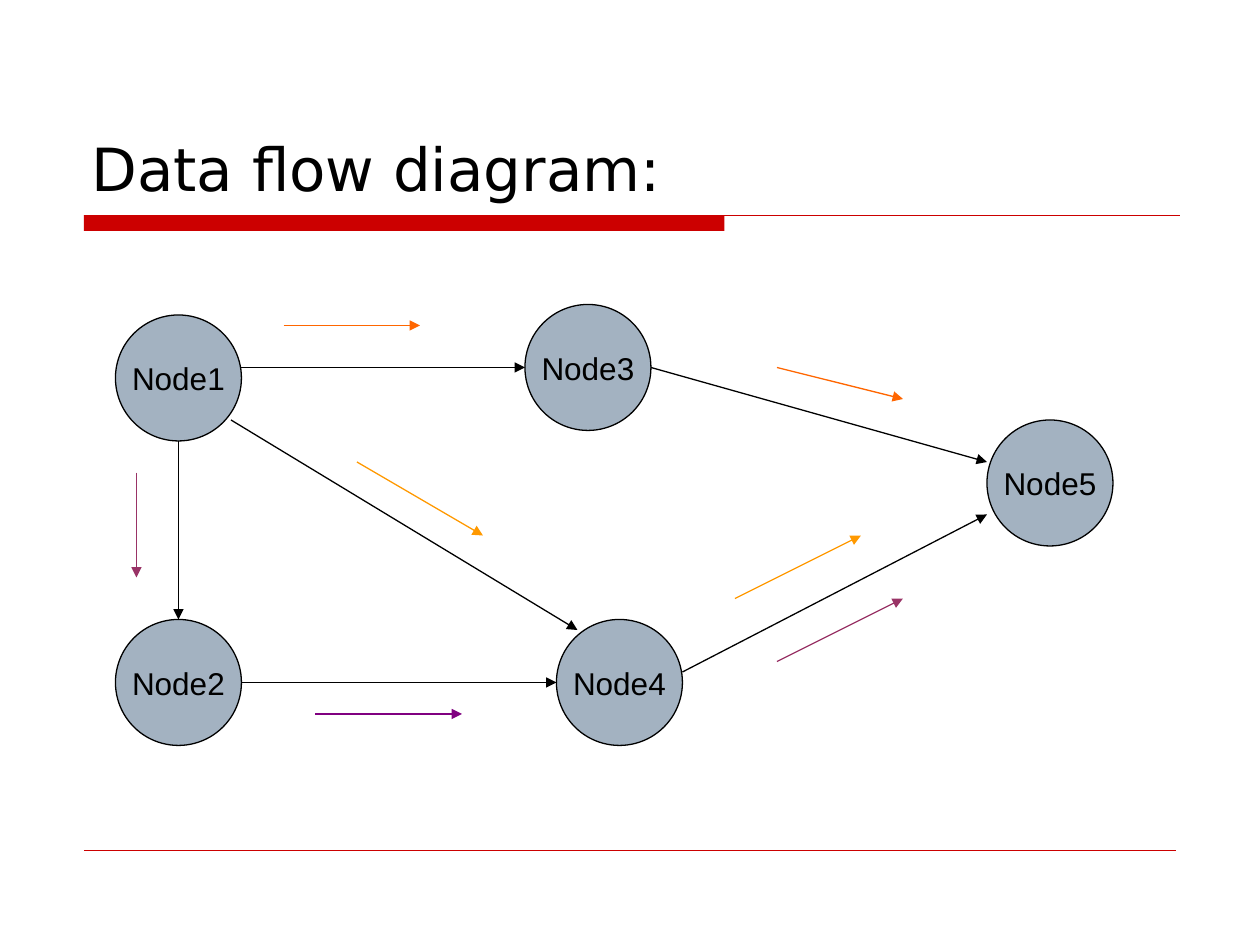
import lxml.etree
import pptx
import pptx.dml.color
import pptx.enum.shapes
import pptx.enum.text
import pptx.oxml.ns
import pptx.util

THEME = {
    "accent": "CC0000", "node": "A3B2C1", "ink": "000000",
    "orange": "FF6600", "amber": "FF9900", "plum": "993366", "purple": "800080",
    "title_font": "DejaVu Sans", "node_font": "Arial",
    "title_size": 34, "node_size": 18, "line": 0.75, "hairline": 0.25,
}
COLUMNS, ROWS = 120, 90
NODE_SIZE = 12

# Left column and top row of each node
NODES = {
    "Node1": (11, 30),
    "Node3": (50, 29),
    "Node2": (11, 59),
    "Node4": (53, 59),
    "Node5": (94, 40),
}
# Colour, then start and end as column, row
ARROWS = [
    ("ink", (23, 35), (50, 35)),
    ("ink", (62, 35), (94, 44)),
    ("ink", (17, 42), (17, 59)),
    ("ink", (23, 65), (53, 65)),
    ("ink", (65, 64), (94, 49)),
    ("ink", (22, 40), (55, 60)),
    ("orange", (27, 31), (40, 31)),
    ("orange", (74, 35), (86, 38)),
    ("amber", (34, 44), (46, 51)),
    ("plum", (74, 63), (86, 57)),
    ("purple", (30, 68), (44, 68)),
    ("plum", (13, 45), (13, 55)),
    ("amber", (70, 57), (82, 51)),
]

presentation = pptx.Presentation()
presentation.slide_width = pptx.util.Inches(10)
presentation.slide_height = pptx.util.Inches(7.5)
slide = presentation.slides.add_slide(presentation.slide_layouts[5])


def grid(*numbers):
    """Turn alternating columns and rows into lengths on the slide."""
    steps = (presentation.slide_width / COLUMNS, presentation.slide_height / ROWS)
    return [pptx.util.Emu(round(number * steps[i % 2])) for i, number in enumerate(numbers)]


def add_line(start, end, colour, width, arrow=False):
    connector = slide.shapes.add_connector(
        pptx.enum.shapes.MSO_CONNECTOR.STRAIGHT, *grid(*start, *end))
    connector.line.color.rgb = pptx.dml.color.RGBColor.from_string(THEME[colour])
    connector.line.width = pptx.util.Pt(THEME[width])
    properties = connector._element.spPr
    if arrow:
        outline = properties.find(pptx.oxml.ns.qn("a:ln"))
        lxml.etree.SubElement(outline, pptx.oxml.ns.qn("a:tailEnd"), type="triangle")
    lxml.etree.SubElement(properties, pptx.oxml.ns.qn("a:effectLst"))


# Title with its rule, and the footer line
bar = slide.shapes.add_shape(
    pptx.enum.shapes.MSO_SHAPE.RECTANGLE, *grid(8, 20.5, 61, 1.5))
bar.shadow.inherit = False
bar.fill.solid()
bar.fill.fore_color.rgb = pptx.dml.color.RGBColor.from_string(THEME["accent"])
bar.line.fill.background()
add_line((8, 20.5), (112.4, 20.5), "accent", "line")
add_line((8, 81), (112, 81), "accent", "hairline")

title = slide.shapes.title
title.left, title.top, title.width, title.height = grid(7.5, 4, 60.25, 16)
title.text_frame.text = "Data flow diagram:"
title.text_frame.word_wrap = True
title.text_frame.auto_size = pptx.enum.text.MSO_AUTO_SIZE.NONE
title.text_frame.vertical_anchor = pptx.enum.text.MSO_ANCHOR.BOTTOM
paragraph = title.text_frame.paragraphs[0]
paragraph.alignment = pptx.enum.text.PP_ALIGN.LEFT
font = paragraph.runs[0].font
font.name = THEME["title_font"]
font.size = pptx.util.Pt(THEME["title_size"])
font.color.rgb = pptx.dml.color.RGBColor.from_string(THEME["ink"])

# Nodes
for name, corner in NODES.items():
    node = slide.shapes.add_shape(
        pptx.enum.shapes.MSO_SHAPE.OVAL, *grid(*corner, NODE_SIZE, NODE_SIZE))
    node.shadow.inherit = False
    node.fill.solid()
    node.fill.fore_color.rgb = pptx.dml.color.RGBColor.from_string(THEME["node"])
    node.line.color.rgb = pptx.dml.color.RGBColor.from_string(THEME["ink"])
    node.line.width = pptx.util.Pt(THEME["line"])
    node.text_frame.text = name
    node.text_frame.word_wrap = False
    node.text_frame.vertical_anchor = pptx.enum.text.MSO_ANCHOR.MIDDLE
    paragraph = node.text_frame.paragraphs[0]
    paragraph.alignment = pptx.enum.text.PP_ALIGN.CENTER
    font = paragraph.runs[0].font
    font.name = THEME["node_font"]
    font.size = pptx.util.Pt(THEME["node_size"])
    font.color.rgb = pptx.dml.color.RGBColor.from_string(THEME["ink"])

# Links between nodes, and the flows beside them
for colour, start, end in ARROWS:
    add_line(start, end, colour, "line", arrow=True)

presentation.save("out.pptx")
